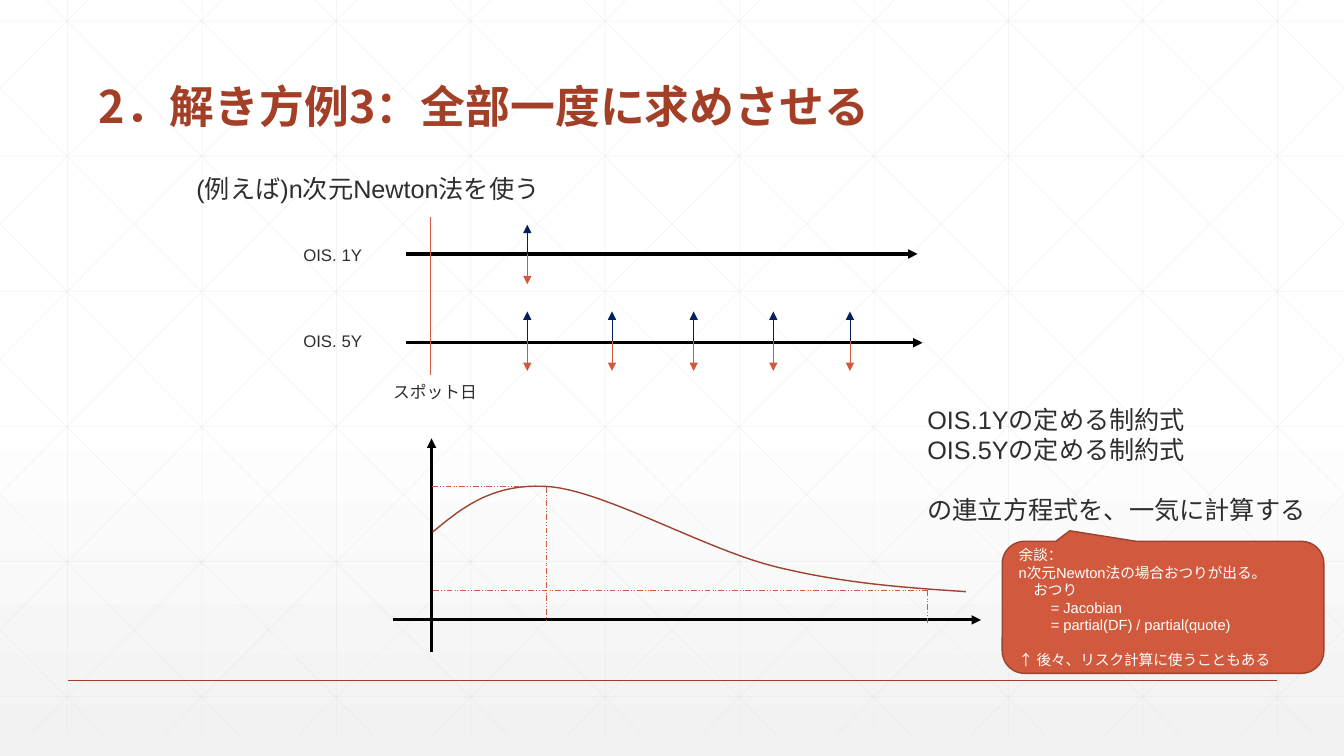
from lxml.etree import SubElement as Sub
from pptx import Presentation
from pptx.dml.color import RGBColor as Rgb
from pptx.enum.dml import MSO_LINE as Dash
from pptx.enum.shapes import MSO_CONNECTOR as Link, MSO_SHAPE as Kind
from pptx.enum.text import MSO_ANCHOR as Anchor, MSO_AUTO_SIZE as Fit, PP_ALIGN as Align
from pptx.oxml.ns import qn
from pptx.util import Inches, Pt

WIDE, HIGH = 13.33, 7.5
TOP, LOW, RUN = -0.21, 7.29, 7.45
STEP = 4 / 3
COLORS = {
    "white": "FFFFFF", "shade": "F2F2F2", "grid": "D9D9D9", "title": "A43F27",
    "text": "2D2E2D", "black": "000000", "red": "D15A3E", "navy": "002060",
    "curve": "9B432E",
}
BENDS = [
    [(4.29, 5.28), (4.59, 5.03), (4.9, 4.78), (5.47, 4.83)],
    [(5.47, 4.83), (6.03, 4.89), (7, 5.45), (7.68, 5.62)],
    [(7.68, 5.62), (8.37, 5.79), (8.98, 5.83), (9.58, 5.87)],
]


def tint(name):
    """Return the named colour."""
    return Rgb.from_string(COLORS[name])


def add_back(slide):
    """Shade the background toward its foot."""
    fill = slide.background.fill
    fill.gradient()
    fill.gradient_angle = 270
    for stop, name, place in zip(fill.gradient_stops, ("white", "shade"), (0.53, 1)):
        stop.color.rgb = tint(name)
        stop.position = place


def add_line(slide, start, end, color, width=0.5, arrow=False, dash=None, alpha=None):
    """Draw a straight line or arrow."""
    ends = [Inches(n) for n in (*start, *end)]
    link = slide.shapes.add_connector(Link.STRAIGHT, *ends)
    link.line.color.rgb = tint(color)
    link.line.width = Pt(width)
    if dash:
        link.line.dash_style = dash
    props = link._element.spPr
    if alpha:
        mark = props.find(".//" + qn("a:srgbClr"))
        Sub(mark, qn("a:alpha"), val=str(alpha * 1000))
    if arrow:
        Sub(props.find(qn("a:ln")), qn("a:tailEnd"), type="triangle")
    Sub(props, qn("a:effectLst"))


def add_grid(slide):
    """Draw the faint square and slanted grid."""
    lines = [((0.67 + STEP * i, TOP), (0.67 + STEP * i, LOW)) for i in range(10)]
    lines += [((0, 0.21 + 1.34 * i), (WIDE, 0.21 + 1.34 * i)) for i in range(6)]
    slope = (LOW - TOP) / RUN
    for i in range(-5, 10):
        base = 0.25 + STEP * i
        left, right = max(base, 0), min(base + RUN, WIDE)
        high, low = (TOP + (x - base) * slope for x in (left, right))
        lines.append(((left, high), (right, low)))
        lines.append(((WIDE - left, high), (WIDE - right, low)))
    for start, end in lines:
        add_line(slide, start, end, "grid", alpha=25)


def write(frame, rows, size, color, font="Arial", bold=False):
    """Fill a frame with rows of text, indent and gap in points."""
    frame.word_wrap = True
    frame.text = "\n".join(row[0] for row in rows)
    for para, (_, indent, gap) in zip(frame.paragraphs, rows):
        para.alignment = Align.LEFT
        if indent:
            para._p.get_or_add_pPr().set("marL", str(Pt(indent)))
        if gap:
            para.space_before = Pt(gap)
        for run in para.runs:
            run.font.size = Pt(size)
            run.font.bold = bold
            run.font.name = font
            run.font.color.rgb = tint(color)
            Sub(run._r.get_or_add_rPr(), qn("a:ea"), typeface="Noto Sans CJK JP")


def add_text(slide, box, rows, size, color="text", **style):
    """Place a text box and return its frame."""
    frame = slide.shapes.add_textbox(*map(Inches, box)).text_frame
    write(frame, rows, size, color, **style)
    frame.auto_size = Fit.SHAPE_TO_FIT_TEXT
    return frame


def add_title(slide):
    """Place the heading."""
    rows = [("2．解き方例3：全部一度に求めさせる", 0, 0)]
    frame = add_text(slide, (0.88, 0.12, 10.5, 1.25), rows, 32, "title",
                     font="Noto Sans CJK JP", bold=True)
    frame.auto_size = Fit.NONE
    frame.vertical_anchor = Anchor.BOTTOM
    frame.paragraphs[0].line_spacing = 0.9


def add_swap(slide, label, top, axis, mid, end, dates):
    """Draw one swap with its time axis and cash flows."""
    add_text(slide, (2.91, top, 1.08, 0.3), [(label, 0, 0)], 12)
    add_line(slide, (4.03, axis), (end, axis), "black", 2.25, True)
    for x in dates:
        add_line(slide, (x, mid), (x, mid + 0.3), "red", arrow=True)
        add_line(slide, (x, mid), (x, mid - 0.29), "navy", arrow=True)


def bend(points, t):
    """Return the point at t on a cubic curve."""
    a, b, c, d = points
    u = 1 - t
    return tuple(Inches(u**3 * a[i] + 3 * u * u * t * b[i] + 3 * u * t * t * c[i]
                        + t**3 * d[i]) for i in (0, 1))


def add_curve(slide):
    """Draw the discount curve on its axes."""
    add_line(slide, (4.28, 6.47), (4.28, 4.35), "black", 2.25, True)
    add_line(slide, (3.9, 6.15), (9.73, 6.15), "black", 2.25, True)
    for x, y, foot in ((5.42, 4.83, 6.15), (9.2, 5.86, 6.18)):
        for end in ((x, foot), (4.28, y)):
            add_line(slide, (x, y), end, "red", dash=Dash.DASH_DOT_DOT)
    steps = 20
    spots = [bend(part, i / steps) for part in BENDS for i in range(1, steps + 1)]
    maker = slide.shapes.build_freeform(*bend(BENDS[0], 0), scale=1.0)
    maker.add_line_segments(spots, close=False)
    curve = maker.convert_to_shape()
    curve.shadow.inherit = False
    curve.fill.background()
    curve.line.color.rgb = tint("curve")
    curve.line.width = Pt(1)


def add_note(slide):
    """Place the callout with the side remark."""
    box = map(Inches, (9.94, 5.37, 3.19, 1.31))
    note = slide.shapes.add_shape(Kind.ROUNDED_RECTANGULAR_CALLOUT, *box)
    for i, value in enumerate((-0.29, -0.58, 0.17)):
        note.adjustments[i] = value
    note.shadow.inherit = False
    note.fill.solid()
    note.fill.fore_color.rgb = tint("red")
    note.line.color.rgb = tint("curve")
    note.line.width = Pt(1)
    note.text_frame.vertical_anchor = Anchor.MIDDLE
    write(note.text_frame, [
        ("余談：", 0, 0),
        ("n次元Newton法の場合おつりが出る。", 0, 0),
        ("おつり", 10.5, 0),
        ("= Jacobian", 23, 0),
        ("= partial(DF) / partial(quote)", 23, 0),
        ("↑ 後々、リスク計算に使うこともある", 0, 12.5),
    ], 10.5, "white")


def main():
    """Build and save the slide."""
    deck = Presentation()
    deck.slide_width, deck.slide_height = Inches(WIDE), Inches(HIGH)
    slide = deck.slides.add_slide(deck.slide_layouts[6])
    add_back(slide)
    add_grid(slide)
    add_line(slide, (0.67, 6.75), (12.67, 6.75), "title", 1)
    add_title(slide)
    add_text(slide, (1.85, 1.67, 3.69, 0.4), [("(例えば)n次元Newton法を使う", 0, 0)], 18)
    add_swap(slide, "OIS. 1Y", 2.38, 2.52, 2.52, 9.1, [5.23])
    add_swap(slide, "OIS. 5Y", 3.23, 3.4, 3.38, 9.15, [5.23, 6.07, 6.88, 7.67, 8.43])
    add_line(slide, (4.27, 2.15), (4.27, 3.72), "red")
    add_text(slide, (3.8, 3.74, 1.08, 0.3), [("スポット日", 0, 0)], 12)
    add_curve(slide)
    add_text(slide, (9.1, 3.96, 3.97, 1.31), [
        ("OIS.1Yの定める制約式", 0, 0),
        ("OIS.5Yの定める制約式", 0, 0),
        ("の連立方程式を、一気に計算する", 0, 21.5),
    ], 18)
    add_note(slide)
    deck.save("out.pptx")


if __name__ == "__main__":
    main()
